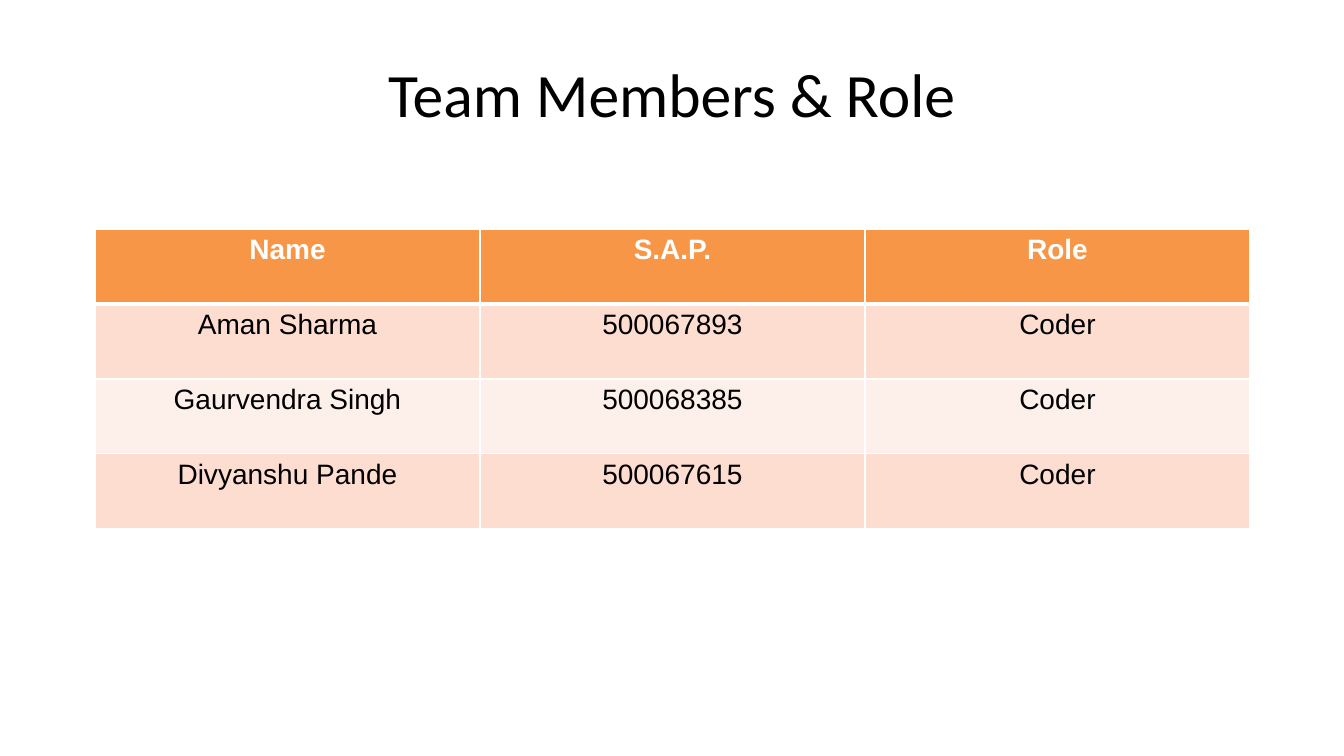
from dataclasses import dataclass

from lxml import etree
from pptx import Presentation
from pptx.dml.color import RGBColor
from pptx.enum.text import MSO_ANCHOR, PP_ALIGN
from pptx.oxml.ns import qn
from pptx.util import Pt

CENTER = PP_ALIGN.CENTER
TOP, MIDDLE = MSO_ANCHOR.TOP, MSO_ANCHOR.MIDDLE
EMU_PER_PX = 914400 / 100.8


@dataclass(frozen=True)
class Theme:
    ink: str = "000000"
    white: str = "FFFFFF"
    header: str = "F79646"
    bands: tuple = ("FCDDCF", "FDEFE9")
    title_font: str = "Calibri"
    body_font: str = "Arial"
    title_size: int = 44
    body_size: int = 20
    rule: int = 1
    header_rule: int = 3


THEME = Theme()
SLIDE_SIZE = (1344, 756)
TITLE_BOX = (0, 62, 1344, 62)
TABLE_BOX = (95, 229, 1155, 300)

MEMBERS = [
    ("Name", "S.A.P.", "Role"),
    ("Aman Sharma", "500067893", "Coder"),
    ("Gaurvendra Singh", "500068385", "Coder"),
    ("Divyanshu Pande", "500067615", "Coder"),
]


def px(n):
    return round(n * EMU_PER_PX)


def write(tf, text, color, **font):
    p = tf.paragraphs[0]
    p.alignment = CENTER
    r = p.add_run()
    r.text = text
    for name, value in font.items():
        setattr(r.font, name, value)
    r.font.color.rgb = RGBColor.from_string(color)


def set_borders(cell, widths):
    tcPr = cell._tc.get_or_add_tcPr()
    for side, width in widths.items():
        ln = etree.SubElement(tcPr, qn(f"a:ln{side}"), w=str(Pt(width)))
        fill = etree.SubElement(ln, qn("a:solidFill"))
        etree.SubElement(fill, qn("a:srgbClr"), val=THEME.white)


def add_title(slide, box, text):
    tf = slide.shapes.add_textbox(*map(px, box)).text_frame
    for name, value in {"word_wrap": True, "vertical_anchor": MIDDLE}.items():
        setattr(tf, name, value)
    write(tf, text, THEME.ink, name=THEME.title_font, size=Pt(THEME.title_size))


def add_member_table(slide, box, rows):
    table = slide.shapes.add_table(len(rows), len(rows[0]), *map(px, box)).table
    for column in table.columns:
        column.width = px(box[2] // len(rows[0]))
    for row in table.rows:
        row.height = px(box[3] // len(rows))
    for i, values in enumerate(rows):
        header = i == 0
        fill = THEME.header if header else THEME.bands[(i - 1) % 2]
        borders = {
            "L": THEME.rule,
            "R": THEME.rule,
            "T": THEME.header_rule if i == 1 else THEME.rule,
            "B": THEME.header_rule if header else THEME.rule,
        }
        for j, value in enumerate(values):
            cell = table.cell(i, j)
            set_borders(cell, borders)
            cell.fill.solid()
            cell.fill.fore_color.rgb = RGBColor.from_string(fill)
            cell.vertical_anchor = TOP
            write(cell.text_frame, value, THEME.white if header else THEME.ink,
                  name=THEME.body_font, size=Pt(THEME.body_size), bold=header)


def main():
    prs = Presentation()
    prs.slide_width, prs.slide_height = map(px, SLIDE_SIZE)
    slide = prs.slides.add_slide(prs.slide_layouts[6])
    add_title(slide, TITLE_BOX, "Team Members & Role")
    add_member_table(slide, TABLE_BOX, MEMBERS)
    prs.save("out.pptx")


if __name__ == "__main__":
    main()
